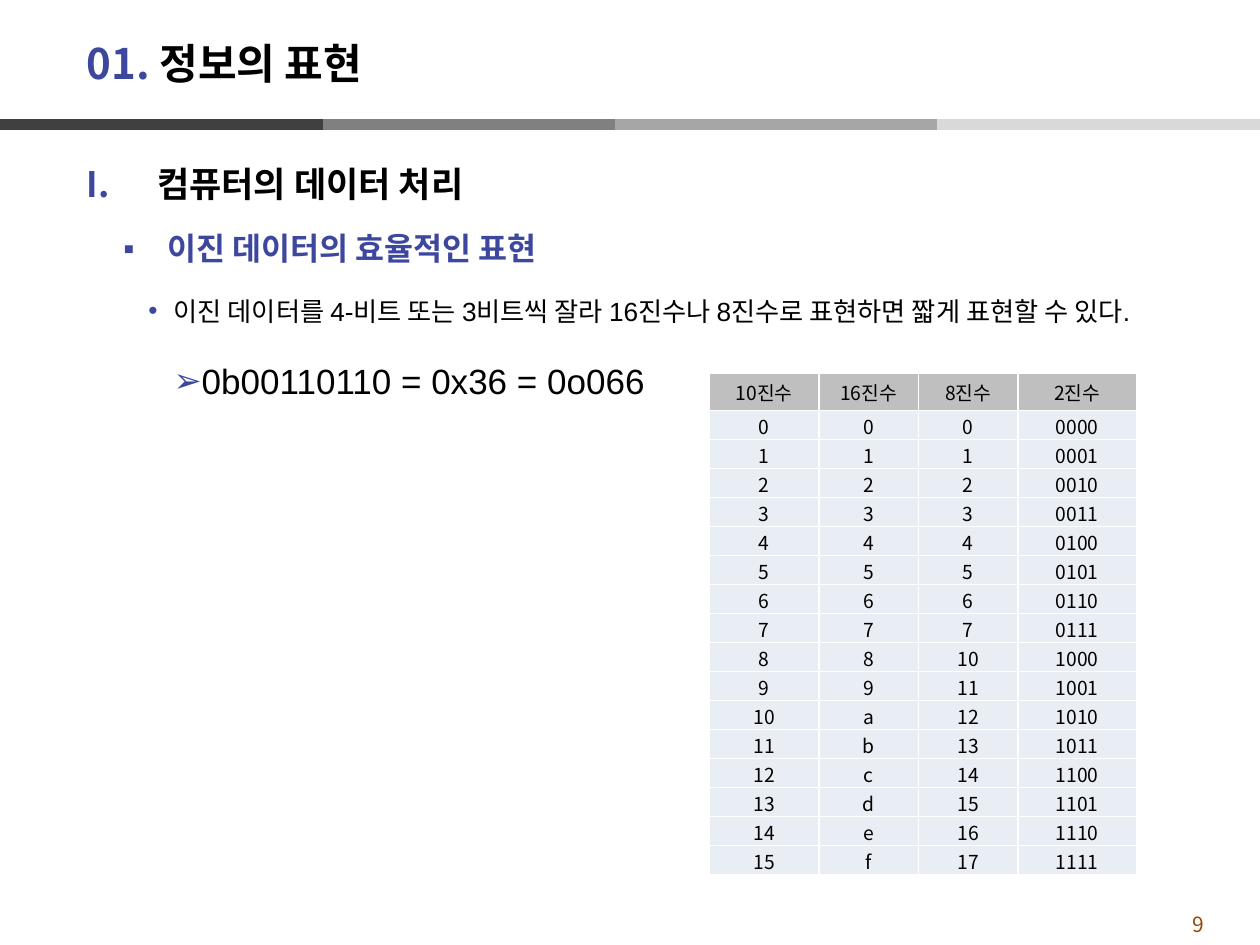
from lxml import etree
from pptx import Presentation
from pptx import util as u
from pptx.dml.color import RGBColor
from pptx.enum import shapes, text
from pptx.oxml import ns

INDIGO = RGBColor(0x3C, 0x47, 0x9D)
BLACK = RGBColor(0, 0, 0)
BROWN = RGBColor(0x98, 0x48, 0x07)
WHITE = RGBColor(255, 255, 255)
HEADER_GRAY = RGBColor(0xBF, 0xBF, 0xBF)
ROW_BLUE = RGBColor(0xE9, 0xED, 0xF4)
LATIN, KOREAN = "Arial", "Noto Sans CJK KR"

TITLE = [("01. ", INDIGO), ("정보의 표현", BLACK)]
PAGE_NUMBER = "9"
RULES = [
    (2.32, 4.88, RGBColor(0x80, 0x80, 0x80)),
    (4.88, 7.44, RGBColor(0xA6, 0xA6, 0xA6)),
    (7.44, 10, RGBColor(0xD9, 0xD9, 0xD9)),
    (0, 2.56, RGBColor(0x40, 0x40, 0x40)),
]
BODY = [
    dict(words="컴퓨터의 데이터 처리", bullet="I.", margin=0.56, indent=-0.56,
         size=20, font=LATIN, color=BLACK, bold=True, before=0, after=0),
    dict(words="이진 데이터의 효율적인 표현", bullet="▪", margin=0.64, indent=-0.35,
         size=18, font=KOREAN, color=INDIGO, bold=True, before=3.6, after=4),
    dict(words="이진 데이터를 4-비트 또는 3비트씩 잘라 16진수나 8진수로 표현하면 짧게 표현할 수 있다.",
         bullet="•", margin=0.69, indent=-0.2,
         size=15, font=LATIN, color=BLACK, bold=False, before=3, after=3),
    dict(words="0b00110110 = 0x36 = 0o066", bullet="➢", margin=0.89, indent=-0.2,
         size=20, font=LATIN, color=BLACK, bold=False, before=4, after=3),
]
HEADERS = ["10진수", "16진수", "8진수", "2진수"]
NUMBERS = [[str(n), f"{n:x}", f"{n:o}", f"{n:04b}"] for n in range(16)]
COLUMN_WIDTHS = [0.87, 0.79, 0.79, 0.94]
HEADER_HEIGHT, ROW_HEIGHT = 0.3, 0.23


def add_element(parent, tag, **attributes):
    return etree.SubElement(parent, ns.qn(tag), attributes)


def add_run(paragraph, words, size, color, font=KOREAN, bold=False):
    run = paragraph.add_run()
    run.text = words
    run.font.size = u.Pt(size)
    run.font.color.rgb = color
    run.font.bold = bold
    run.font.name = font
    add_element(run.font._element, "a:ea", typeface=KOREAN)


def add_text_box(slide, left, top, width, height, anchor):
    box = slide.shapes.add_textbox(*map(u.Inches, (left, top, width, height)))
    frame = box.text_frame
    frame.word_wrap = True
    frame.vertical_anchor = anchor
    return frame


def add_bullet(paragraph, item):
    properties = paragraph._p.get_or_add_pPr()
    properties.set("marL", str(u.Inches(item["margin"])))
    properties.set("indent", str(u.Inches(item["indent"])))
    color = add_element(properties, "a:buClr")
    add_element(color, "a:srgbClr", val=str(INDIGO))
    if item["bullet"] == "➢":
        add_element(properties, "a:buSzPct", val="96000")
    add_element(properties, "a:buFont", typeface=LATIN)
    if item["bullet"] == "I.":
        add_element(properties, "a:buAutoNum", type="romanUcPeriod")
    else:
        add_element(properties, "a:buChar", char=item["bullet"])


def add_rules(slide):
    for start, end, color in RULES:
        rule = slide.shapes.add_connector(
            shapes.MSO_CONNECTOR.STRAIGHT, u.Inches(start), u.Inches(0.99),
            u.Inches(end), u.Inches(0.99))
        rule.line.color.rgb = color
        rule.line.width = u.Pt(6)
        add_element(rule._element.spPr, "a:effectLst")


def add_body(slide):
    frame = add_text_box(slide, 0.59, 1.07, 8.9, 2.68, text.MSO_ANCHOR.TOP)
    for index, item in enumerate(BODY):
        paragraph = frame.add_paragraph() if index else frame.paragraphs[0]
        paragraph.level = index
        paragraph.line_spacing = 1.5
        paragraph.space_before = u.Pt(item["before"])
        paragraph.space_after = u.Pt(item["after"])
        add_bullet(paragraph, item)
        add_run(paragraph, item["words"], item["size"], item["color"],
                item["font"], item["bold"])


def fill_cell(cell, words, color):
    cell.margin_left = cell.margin_top = cell.margin_right = u.Inches(0.01)
    cell.margin_bottom = 0
    cell.vertical_anchor = text.MSO_ANCHOR.MIDDLE
    paragraph = cell.text_frame.paragraphs[0]
    paragraph.alignment = text.PP_ALIGN.CENTER
    add_run(paragraph, words, 11, BLACK)
    properties = cell._tc.get_or_add_tcPr()
    for side in ("a:lnL", "a:lnR", "a:lnT", "a:lnB"):
        border = add_element(properties, side, w=str(u.Pt(1)))
        solid = add_element(border, "a:solidFill")
        add_element(solid, "a:srgbClr", val=str(WHITE))
    cell.fill.solid()
    cell.fill.fore_color.rgb = color


def add_number_table(slide):
    rows = [HEADERS] + NUMBERS
    height = HEADER_HEIGHT + ROW_HEIGHT * len(NUMBERS)
    table = slide.shapes.add_table(
        len(rows), len(HEADERS), u.Inches(5.63), u.Inches(2.96),
        u.Inches(sum(COLUMN_WIDTHS)), u.Inches(height)).table
    for column, width in zip(table.columns, COLUMN_WIDTHS):
        column.width = u.Inches(width)
    for r, row in enumerate(rows):
        table.rows[r].height = u.Inches(ROW_HEIGHT if r else HEADER_HEIGHT)
        for c, words in enumerate(row):
            fill_cell(table.cell(r, c), words, ROW_BLUE if r else HEADER_GRAY)


def main():
    presentation = Presentation()
    presentation.slide_width = u.Inches(10)
    presentation.slide_height = u.Inches(7.5)
    slide = presentation.slides.add_slide(presentation.slide_layouts[6])

    number = add_text_box(slide, 9.05, 7.22, 0.92, 0.23, text.MSO_ANCHOR.MIDDLE)
    number.paragraphs[0].alignment = text.PP_ALIGN.CENTER
    add_run(number.paragraphs[0], PAGE_NUMBER, 12, BROWN)
    add_rules(slide)
    title = add_text_box(slide, 0.59, 0.2, 8.74, 0.6, text.MSO_ANCHOR.MIDDLE)
    for words, color in TITLE:
        add_run(title.paragraphs[0], words, 24, color, bold=True)
    add_body(slide)
    add_number_table(slide)
    presentation.save("out.pptx")


if __name__ == "__main__":
    main()
